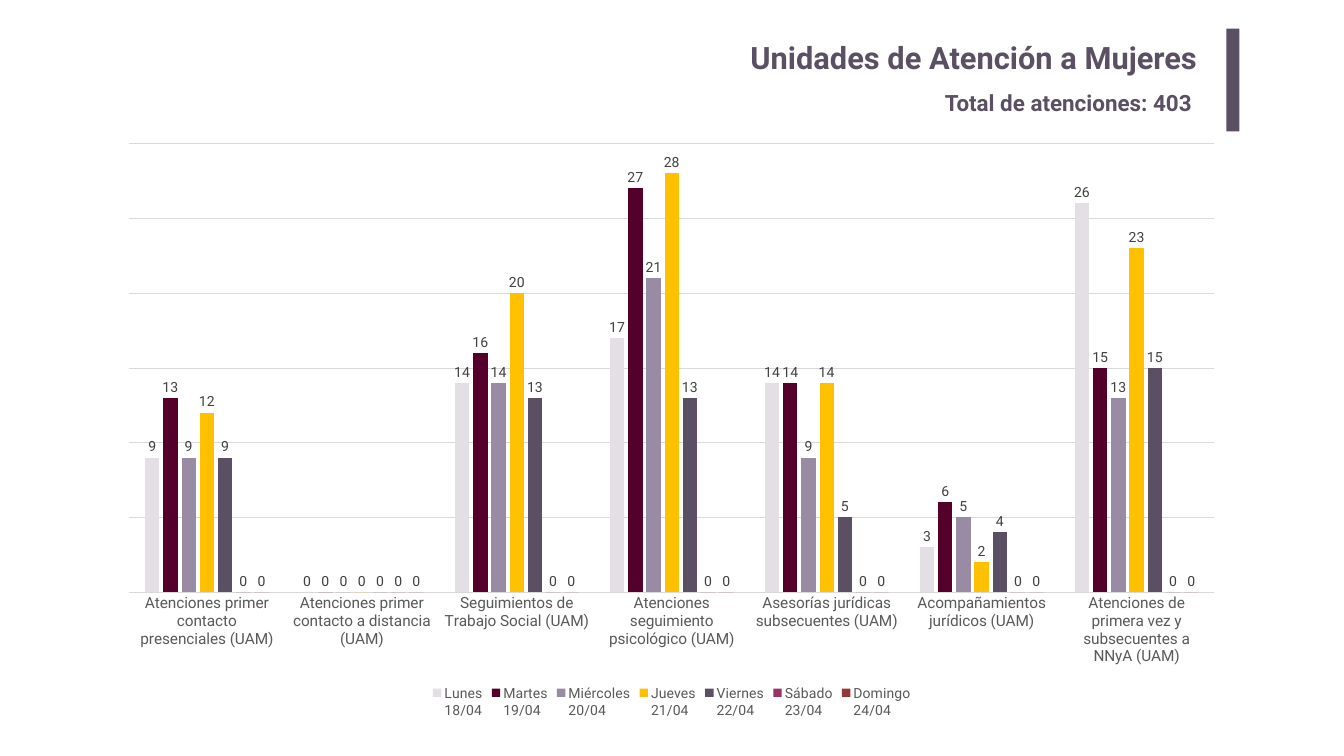
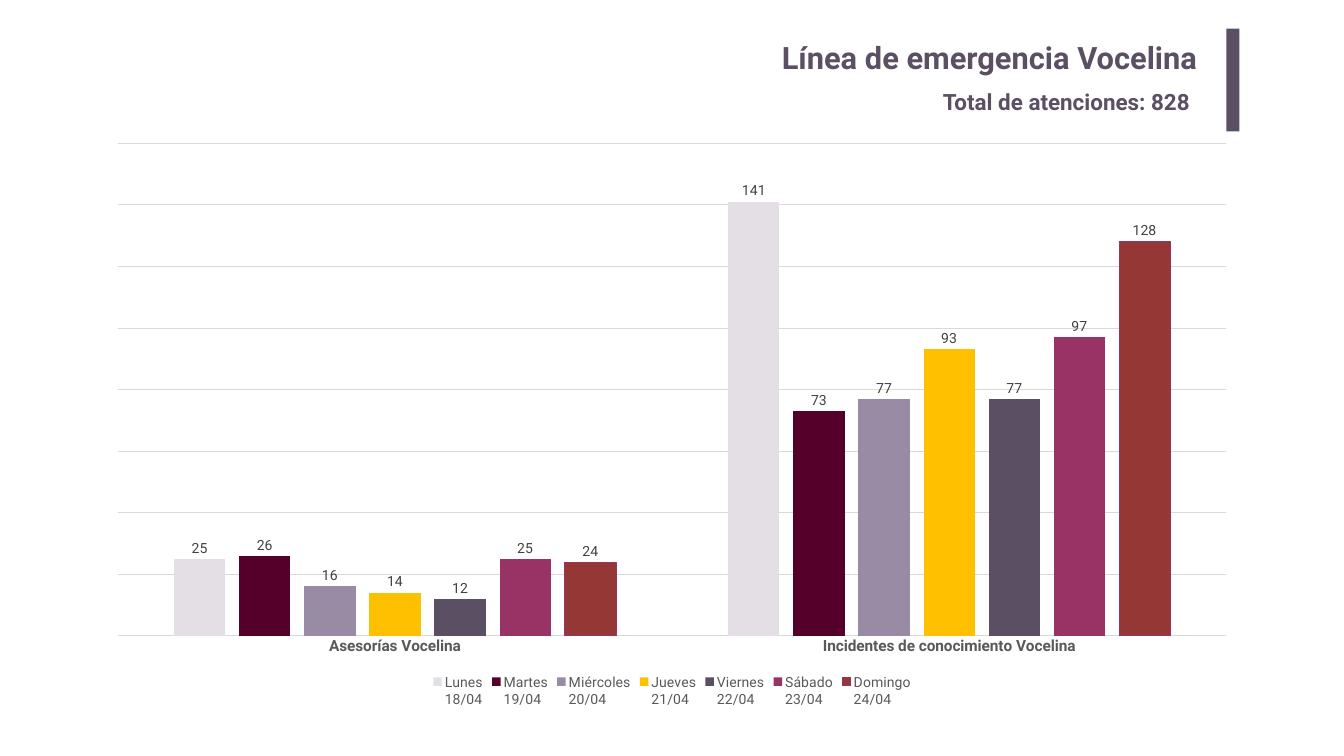
import pptx
import pptx.chart.data
import pptx.dml.color
import pptx.enum.chart
import pptx.enum.shapes
import pptx.enum.text
import pptx.oxml
import pptx.oxml.ns
import pptx.util

Pt = pptx.util.Pt
FONT = "Roboto"
PURPLE, GRID, AXIS_TEXT, LABEL_TEXT = "5B4F63", "D9D9D9", "595959", "404040"
PLUM = "993366"
HOTLINE = "Vocelina"

# Day, date and bar colour of each series, shared by both charts
DAYS = [
    ("Lunes", "18/04", "E3DFE5"),
    ("Martes", "19/04", "54002A"),
    ("Miércoles", "20/04", "998BA3"),
    ("Jueves", "21/04", "FFC000"),
    ("Viernes", "22/04", PURPLE),
    ("Sábado", "23/04", PLUM),
    ("Domingo", "24/04", "953735"),
]

# Each row: category and its values from Monday to Sunday
UAM_ROWS = [
    ("Atenciones primer contacto presenciales (UAM)", [9, 13, 9, 12, 9, 0, 0]),
    ("Atenciones primer contacto a distancia (UAM)", [0, 0, 0, 0, 0, 0, 0]),
    ("Seguimientos de Trabajo Social (UAM)", [14, 16, 14, 20, 13, 0, 0]),
    ("Atenciones seguimiento psicológico (UAM)", [17, 27, 21, 28, 13, 0, 0]),
    ("Asesorías jurídicas subsecuentes (UAM)", [14, 14, 9, 14, 5, 0, 0]),
    ("Acompañamientos jurídicos (UAM)", [3, 6, 5, 2, 4, 0, 0]),
    ("Atenciones de primera vez y subsecuentes a NNyA (UAM)",
     [26, 15, 13, 23, 15, 0, 0]),
]
HOTLINE_ROWS = [
    (f"Asesorías {HOTLINE}", [25, 26, 16, 14, 12, 25, 24]),
    (f"Incidentes de conocimiento {HOTLINE}", [141, 73, 77, 93, 77, 97, 128]),
]


def rgb(value):
    return pptx.dml.color.RGBColor.from_string(value)


def style_font(font, size, color, bold=False):
    font.name = FONT
    font.size = Pt(size)
    font.bold = bold
    font.color.rgb = rgb(color)


def style_line(line, color):
    line.color.rgb = rgb(color)
    line.width = Pt(0.75)


def add_text(s, box, text, size, inset, align):
    sp = s.shapes.add_textbox(*map(Pt, box))
    tf = sp.text_frame
    tf.word_wrap = True
    tf.vertical_anchor = pptx.enum.text.MSO_ANCHOR.TOP
    tf.margin_left = tf.margin_right = Pt(2 * inset)
    tf.margin_top = tf.margin_bottom = Pt(inset)
    p = tf.paragraphs[0]
    p.alignment = align
    r = p.add_run()
    r.text = text
    style_font(r.font, size, PURPLE, bold=True)


def add_header(s, box, title, total, total_box):
    """Right-aligned title and total, closed by a vertical band."""
    x, y, w, h = box
    band_w = 18.7
    align = pptx.enum.text.PP_ALIGN

    # Title and total; the total is placed relative to the header
    add_text(s, (x, y + 7.2, w - 45.5, 73.4), title, 44, 7.2, align.RIGHT)
    dx, dy, tw, th = total_box
    add_text(s, (x + dx, y + dy, tw, th), total, 32, 3.6, align.LEFT)

    # Band
    sp = s.shapes.add_shape(pptx.enum.shapes.MSO_SHAPE.RECTANGLE,
                            Pt(x + w - band_w), Pt(y), Pt(band_w), Pt(h))
    sp.shadow.inherit = False
    sp.fill.solid()
    sp.fill.fore_color.rgb = rgb(PURPLE)
    sp.line.fill.background()


def set_plot_layout(chart, x, y, w, h):
    """Fix the inner plot area, as fractions of the chart."""
    plot_area = chart._chartSpace.chart.plotArea
    for old in plot_area.findall(pptx.oxml.ns.qn("c:layout")):
        plot_area.remove(old)
    parts = "".join(f'<c:{tag} val="{val}"/>' for tag, val in [
        ("layoutTarget", "inner"), ("xMode", "edge"), ("yMode", "edge"),
        ("x", x), ("y", y), ("w", w), ("h", h)])
    plot_area.insert(0, pptx.oxml.parse_xml(
        f'<c:layout {pptx.oxml.ns.nsdecls("c")}>'
        f"<c:manualLayout>{parts}</c:manualLayout></c:layout>"))


def add_day_chart(s, box, rows, top, step, plot_height, bold_axis):
    xl = pptx.enum.chart
    data = pptx.chart.data.CategoryChartData()
    data.categories = [name for name, _ in rows]
    for i, (day, date, _) in enumerate(DAYS):
        data.add_series(f"{day}\n{date}", [values[i] for _, values in rows])
    chart = s.shapes.add_chart(xl.XL_CHART_TYPE.COLUMN_CLUSTERED,
                               *map(Pt, box), data).chart
    chart.has_title = False
    style_font(chart.font, 10, "000000")
    set_plot_layout(chart, 0.02, 0.02, 0.96, plot_height)

    # Legend
    chart.has_legend = True
    chart.legend.position = xl.XL_LEGEND_POSITION.BOTTOM
    chart.legend.include_in_layout = False
    style_font(chart.legend.font, 20, AXIS_TEXT)

    # Axes
    cat = chart.category_axis
    cat.major_tick_mark = xl.XL_TICK_MARK.NONE
    style_font(cat.tick_labels.font, 22, AXIS_TEXT, bold_axis)
    style_line(cat.format.line, GRID)
    val = chart.value_axis
    val.visible = False
    val.minimum_scale, val.maximum_scale, val.major_unit = 0, top, step
    val.has_major_gridlines = True
    style_line(val.major_gridlines.format.line, GRID)

    # Bars and their values
    plot = chart.plots[0]
    plot.gap_width, plot.overlap = 219, -27
    plot.vary_by_categories = False
    for series, (_, _, color) in zip(plot.series, DAYS):
        series.invert_if_negative = False
        series.format.fill.solid()
        series.format.fill.fore_color.rgb = rgb(color)
        labels = series.data_labels
        labels.show_value = True
        labels.position = xl.XL_LABEL_POSITION.OUTSIDE_END
        style_font(labels.font, 20, LABEL_TEXT)
    return chart


def add_report_slide(prs, title, total, total_box, chart_box, **chart_options):
    s = prs.slides.add_slide(prs.slide_layouts[6])
    chart = add_day_chart(s, chart_box, **chart_options)
    add_header(s, (263.5, 41, 1507.2, 146.9), title, total, total_box)
    return chart


def main():
    prs = pptx.Presentation()
    prs.slide_width, prs.slide_height = Pt(1920), Pt(1080)

    add_report_slide(
        prs, "Unidades de Atención a Mujeres", "Total de atenciones: 403",
        (1079.3, 82.1, 382.3, 46.8), (152.6, 187.9, 1614.2, 843.8),
        rows=UAM_ROWS, top=30, step=5, plot_height=0.76, bold_axis=False)

    hotline = add_report_slide(
        prs, f"Línea de emergencia {HOTLINE}", "Total de atenciones: 828",
        (1076.4, 80.7, 385.2, 46.1), (135.4, 187.9, 1649.5, 828),
        rows=HOTLINE_ROWS, top=160, step=20, plot_height=0.85, bold_axis=True)
    # Sunday bars carry an outline here
    style_line(hotline.plots[0].series[-1].format.line, PLUM)

    prs.save("out.pptx")


if __name__ == "__main__":
    main()
